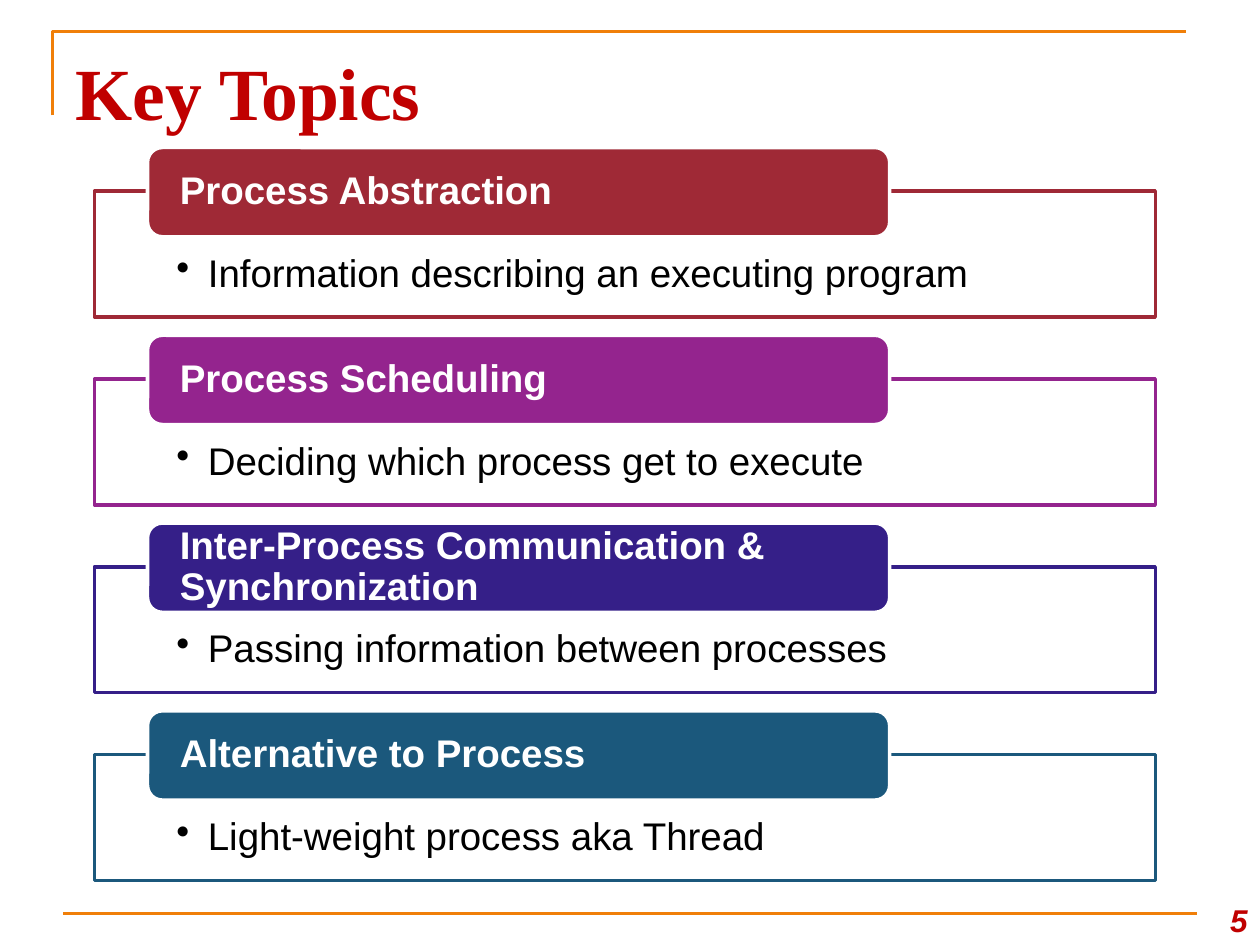
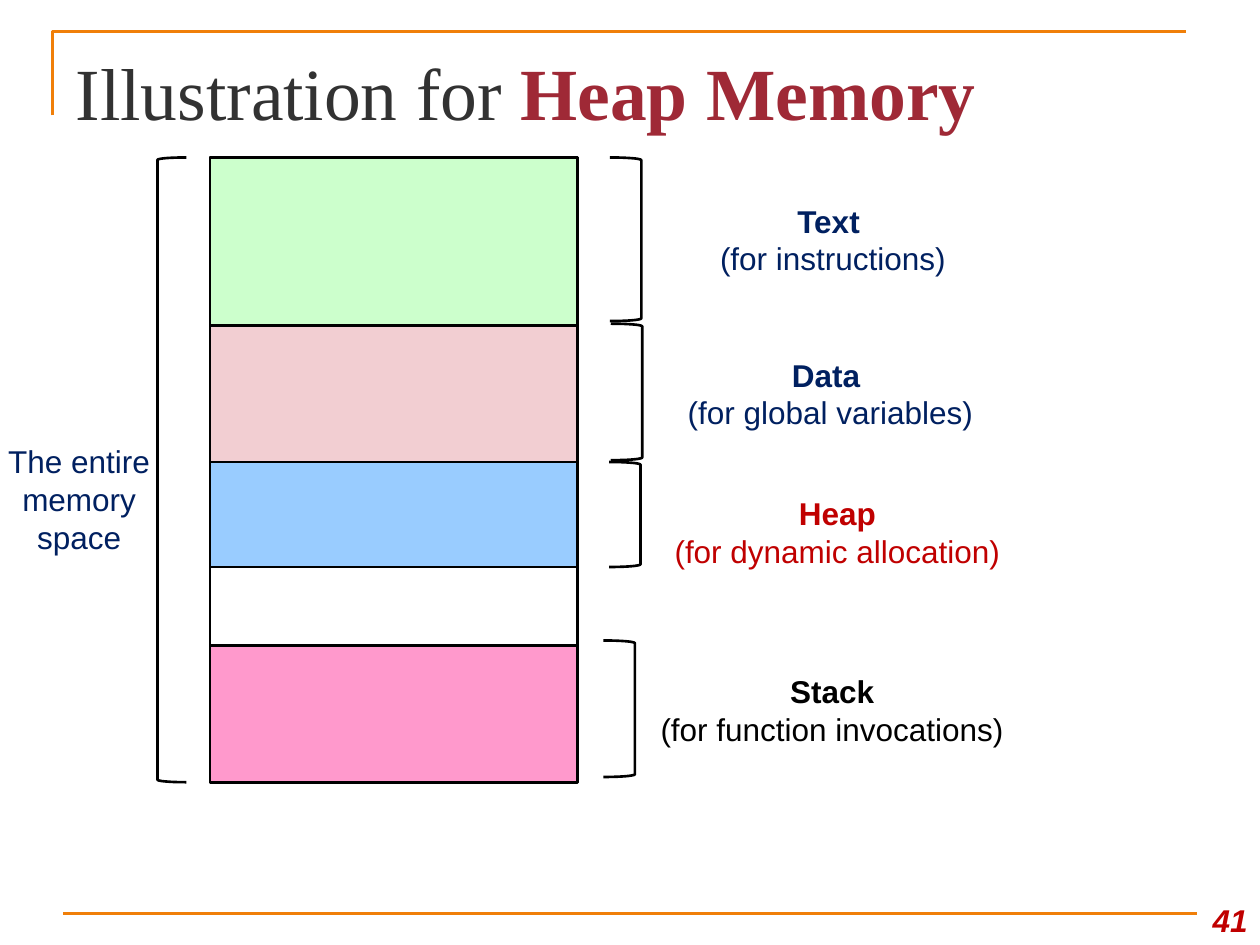
import pptx
import pptx.dml.color
import pptx.enum.shapes
import pptx.enum.text
import pptx.oxml
import pptx.oxml.ns
import pptx.util
from pptx.util import Pt

COLORS = {
    "frame": "F07F09", "title": "323232", "red": "C00000", "crimson": "9F2936",
    "purple": "94248E", "indigo": "351F88", "teal": "1B587C", "navy": "002060",
    "green": "CCFFCC", "rose": "F2CED2", "blue": "99CCFF", "pink": "FF99CC",
    "black": "000000", "white": "FFFFFF",
}
SHAPES = pptx.enum.shapes.MSO_SHAPE
ALIGN = pptx.enum.text.PP_ALIGN
ANCHOR = pptx.enum.text.MSO_ANCHOR
TITLE_ONLY = 5


def color(name):
    return pptx.dml.color.RGBColor.from_string(COLORS[name])


class SlideBuilder:
    """Holds the deck style and the slide being drawn."""

    body_font = "Arial"
    title_font = "Times New Roman"
    frame_width = 1.5

    def __init__(self, deck):
        self.deck = deck
        self.slide = None

    def start(self, title_runs, number):
        """Add a slide with its title, orange frame and page number."""
        self.slide = self.deck.slides.add_slide(self.deck.slide_layouts[TITLE_ONLY])
        self.corner([(30, 66), (30, 18), (678, 18)])
        self.rule((36, 522), (684, 522))
        self.title(title_runs)
        self.text((678, 504, 42, 36), [[(str(number), {"bold": True, "italic": True})]],
                  "red", align=ALIGN.RIGHT, anchor=ANCHOR.BOTTOM)

    def title(self, runs):
        title = self.slide.shapes.title
        title.left, title.top, title.width, title.height = map(Pt, (36, 21.6, 648, 56.2))
        frame = title.text_frame
        frame.auto_size = pptx.enum.text.MSO_AUTO_SIZE.NONE
        self.fill_text(frame, [runs], "title", size=42, font=self.title_font,
                       align=ALIGN.LEFT, anchor=ANCHOR.BOTTOM, insets=(7.2, 3.6, 7.2, 0.5))

    def corner(self, points):
        builder = self.slide.shapes.build_freeform(*map(Pt, points[0]), scale=1.0)
        builder.add_line_segments([tuple(map(Pt, point)) for point in points[1:]], close=False)
        self.paint(builder.convert_to_shape(), None, "frame", self.frame_width)

    def rule(self, start, end):
        line = self.slide.shapes.add_connector(
            pptx.enum.shapes.MSO_CONNECTOR.STRAIGHT, *map(Pt, start + end))
        line.line.color.rgb = color("frame")
        line.line.width = Pt(self.frame_width)
        properties = line._element.spPr
        properties.append(pptx.oxml.parse_xml(
            f"<a:effectLst {pptx.oxml.ns.nsdecls('a')}/>"))

    def paint(self, shape, fill, line, width):
        shape.shadow.inherit = False
        if fill:
            shape.fill.solid()
            shape.fill.fore_color.rgb = color(fill)
        else:
            shape.fill.background()
        shape.line.color.rgb = color(line)
        shape.line.width = Pt(width)

    def shape(self, kind, area, fill=None, line="black", width=1.5):
        shape = self.slide.shapes.add_shape(kind, *map(Pt, area))
        self.paint(shape, fill, line, width)
        return shape

    def text(self, area, paragraphs, ink, **style):
        box = self.slide.shapes.add_textbox(*map(Pt, area))
        self.fill_text(box.text_frame, paragraphs, ink, **style)

    def fill_text(self, frame, paragraphs, ink, size=18, font=None, align=ALIGN.CENTER,
                  anchor=ANCHOR.MIDDLE, insets=(7.2, 3.6, 7.2, 3.6), spacing=None,
                  bullet=False):
        """Fill a text frame; each paragraph is a list of (text, run style) pairs."""
        frame.word_wrap = True
        frame.vertical_anchor = anchor
        (frame.margin_left, frame.margin_top,
         frame.margin_right, frame.margin_bottom) = map(Pt, insets)
        for index, runs in enumerate(paragraphs):
            para = frame.add_paragraph() if index else frame.paragraphs[0]
            para.alignment = align
            if spacing:
                para.line_spacing = spacing
            if bullet:
                self.bullet(para)
            for words, look in runs:
                span = para.add_run()
                span.text = words
                span.font.name = font or self.body_font
                span.font.size = Pt(size)
                span.font.bold = look.get("bold", False)
                span.font.italic = look.get("italic", False)
                span.font.color.rgb = color(look.get("ink", ink))

    def bullet(self, para):
        properties = para._p.get_or_add_pPr()
        properties.set("marL", str(Pt(18)))
        properties.set("indent", str(-Pt(18)))
        properties.append(pptx.oxml.parse_xml(
            f'<a:buChar {pptx.oxml.ns.nsdecls("a")} char="•"/>'))

    def topic(self, top, heading, detail, tint):
        """Draw an outlined detail panel with a heading tab over its top edge."""
        panel = self.shape(SHAPES.RECTANGLE, (54, top, 606.2, 72), "white", tint, 2)
        self.fill_text(panel.text_frame, [[(detail, {})]], "black", size=22, align=ALIGN.LEFT,
                       anchor=ANCHOR.TOP, insets=(46.8, 36, 46.8, 12.2), spacing=0.9,
                       bullet=True)
        tab = self.shape(SHAPES.ROUNDED_RECTANGLE, (84.3, top - 25, 424.1, 51), tint, "white", 2)
        self.fill_text(tab.text_frame, [[(heading, {"bold": True})]], "white", size=22,
                       align=ALIGN.LEFT, insets=(16, 0, 16, 0), spacing=0.9)

    def label(self, area, name, purpose, ink):
        box = self.shape(SHAPES.RECTANGLE, area, "white", "white", 2)
        self.fill_text(box.text_frame, [[(name, {"bold": True})], [(purpose, {})]], ink)


def key_topics(page):
    page.start([("Key Topics", {"bold": True, "ink": "red"})], 5)
    topics = [
        ("Process Abstraction", "Information describing an executing program", "crimson"),
        ("Process Scheduling", "Deciding which process get to execute", "purple"),
        ("Inter-Process Communication & Synchronization",
         "Passing information between processes", "indigo"),
        ("Alternative to Process", "Light-weight process aka Thread", "teal"),
    ]
    for index, topic in enumerate(topics):
        page.topic(109.3 + 107.3 * index, *topic)


def heap_memory(page):
    page.start([("Illustration for ", {}),
                ("Heap Memory", {"bold": True, "ink": "crimson"})], 41)
    left, top, width, height = 120, 90, 210, 357
    page.shape(SHAPES.LEFT_BRACKET, (90, top, 16.5, height))
    page.text((-6, 251.3, 102.5, 67.5), [[("The entire", {})], [("memory space", {})]], "navy")
    page.shape(SHAPES.RECTANGLE, (left, top, width, height))

    # name, purpose, ink, fill, (top, height), label area, bracket area
    segments = [
        ("Text ", "(for instructions)", "navy", "green", (90, 96),
         (368, 103, 216, 67.5), (348.5, 90, 18, 93.5)),
        ("Data ", "(for global variables)", "navy", "rose", (186, 78),
         (366.5, 191, 216, 67.5), (349, 185, 18, 78)),
        ("Heap", "(for dynamic allocation)", "red", "blue", (264, 60),
         (366, 270, 225, 67.5), (348, 264, 18, 60)),
        ("Stack", "(for function invocations)", "black", "pink", (369, 78),
         (363, 371.8, 225, 67.5), (344.8, 366, 18, 78)),
    ]
    for name, purpose, ink, fill, (start, size), label_area, bracket_area in segments:
        page.shape(SHAPES.RECTANGLE, (left, start, width, size), fill)
        page.label(label_area, name, purpose, ink)
        page.shape(SHAPES.RIGHT_BRACKET, bracket_area)


def main():
    deck = pptx.Presentation()
    deck.slide_width, deck.slide_height = Pt(720), Pt(540)
    page = SlideBuilder(deck)
    key_topics(page)
    heap_memory(page)
    deck.save("out.pptx")


if __name__ == "__main__":
    main()
